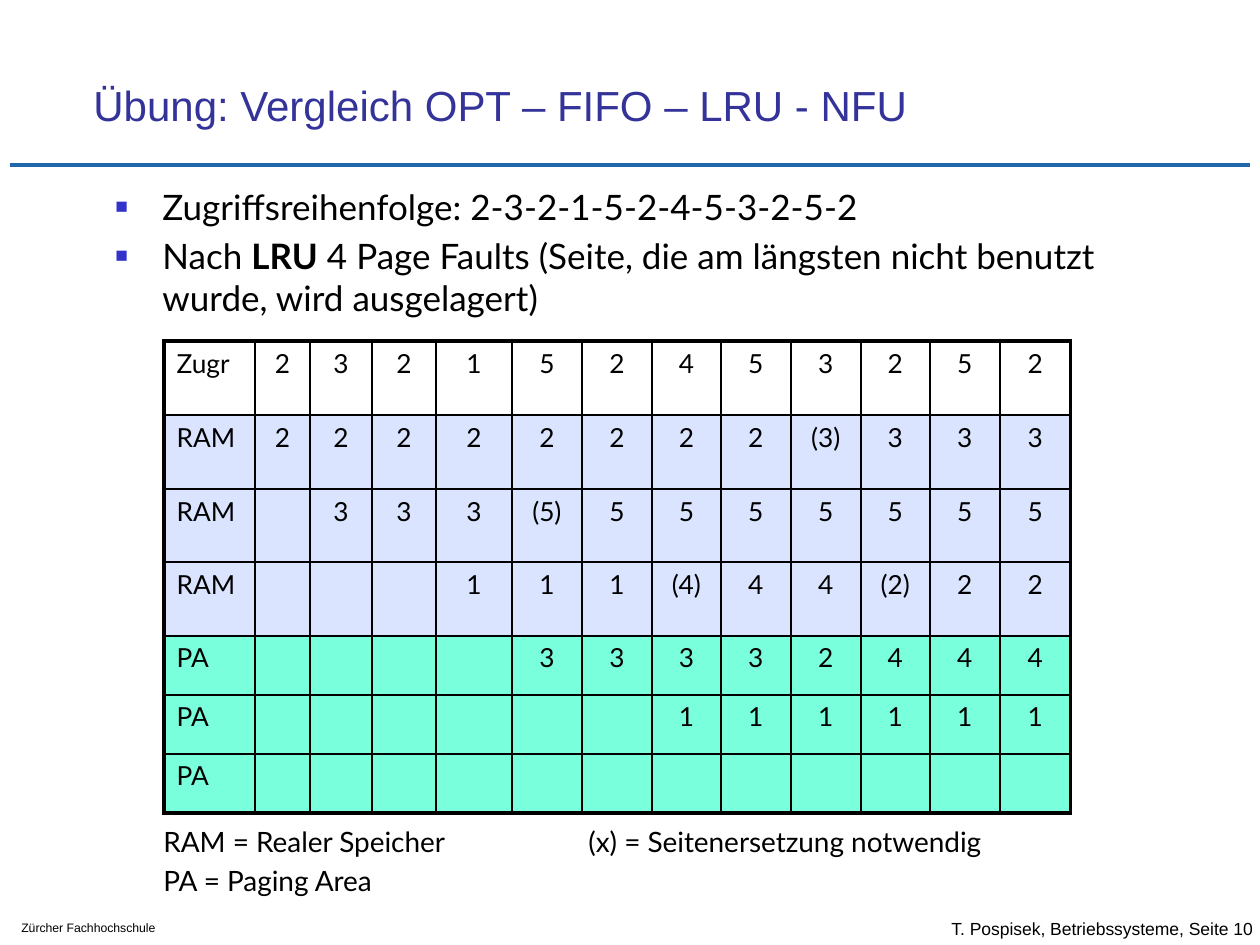
from dataclasses import dataclass
from typing import NamedTuple

from lxml.etree import SubElement
from pptx import Presentation
from pptx.dml.color import RGBColor
from pptx.enum.shapes import MSO_CONNECTOR
from pptx.enum.text import MSO_ANCHOR, PP_ALIGN
from pptx.oxml.ns import qn
from pptx.util import Emu, Pt

PX_PER_INCH = 126


def px(n: int) -> Emu:
    return Emu(round(n * 914400 / PX_PER_INCH))


@dataclass(frozen=True)
class Theme:
    sans: str = "Arial"
    body: str = "Lato"
    black: str = "000000"
    title: str = "333399"
    rule: str = "2266AB"
    bullet: str = "3333CC"
    access_fill: str = "FFFFFF"
    ram_fill: str = "DAE4FF"
    paging_fill: str = "79FFDC"
    title_pt: float = 24
    body_pt: float = 20
    note_pt: float = 16
    cell_pt: float = 15
    credit_pt: float = 10
    school_pt: float = 7
    rule_pt: float = 2.5
    outer_pt: float = 2.21
    inner_pt: float = 0.96


THEME = Theme()


class Run(NamedTuple):
    text: str
    bold: bool = False


class Box(NamedTuple):
    x: int
    y: int
    w: int
    h: int
    paragraphs: list[list[Run]]
    size: float
    font: str
    color: str = THEME.black
    anchor: MSO_ANCHOR = MSO_ANCHOR.TOP
    gap: float = 0
    bulleted: bool = False
    tab: int = 0


class Row(NamedTuple):
    label: str
    height: int
    fill: str
    values: list[str]


BOXES = [
    Box(939, 907, 432, 42, [[Run("T. Pospisek, Betriebssysteme, Seite 10")]],
        THEME.credit_pt, THEME.sans, anchor=MSO_ANCHOR.MIDDLE),
    Box(9, 914, 217, 28, [[Run("Zürcher Fachhochschule")]], THEME.school_pt, THEME.sans),
    Box(81, 42, 1074, 94, [[Run("Übung: Vergleich OPT – FIFO – LRU - NFU")]],
        THEME.title_pt, THEME.sans, THEME.title, MSO_ANCHOR.BOTTOM),
    Box(102, 179, 1053, 136,
        [[Run("Zugriffsreihenfolge: 2-3-2-1-5-2-4-5-3-2-5-2")],
         [Run("Nach "), Run("LRU", True),
          Run(" 4 Page Faults (Seite, die am längsten nicht benutzt wurde, wird ausgelagert)")]],
        THEME.body_pt, THEME.body, gap=4, bulleted=True),
    Box(151, 818, 1008, 84,
        [[Run("RAM = Realer Speicher\t(x) = Seitenersetzung notwendig")],
         [Run("PA = Paging Area")]],
        THEME.note_pt, THEME.body, gap=3.2, tab=425),
]

COLUMNS = [91, 55, 62, 64, 76, 70, 70, 69, 70, 70, 69, 70, 71]
ROWS = [
    Row("Zugr", 74, THEME.access_fill, "2 3 2 1 5 2 4 5 3 2 5 2".split()),
    Row("RAM", 74, THEME.ram_fill, "2 2 2 2 2 2 2 2 (3) 3 3 3".split()),
    Row("RAM", 73, THEME.ram_fill, "3 3 3 (5) 5 5 5 5 5 5 5".split()),
    Row("RAM", 74, THEME.ram_fill, "1 1 1 (4) 4 4 (2) 2 2".split()),
    Row("PA", 59, THEME.paging_fill, "3 3 3 3 2 4 4 4".split()),
    Row("PA", 59, THEME.paging_fill, "1 1 1 1 1 1".split()),
    Row("PA", 59, THEME.paging_fill, []),
]


def add_run(p, run: Run, size: float, font: str, color: str) -> None:
    r = p.add_run()
    r.text = run.text
    r.font.size = Pt(size)
    r.font.name = font
    r.font.bold = run.bold
    r.font.color.rgb = RGBColor.from_string(color)


def add_bullet(p) -> None:
    pPr = p._p.get_or_add_pPr()
    pPr.set("marL", str(px(48)))
    pPr.set("indent", str(-px(47)))
    SubElement(SubElement(pPr, qn("a:buClr")), qn("a:srgbClr"), val=THEME.bullet)
    SubElement(pPr, qn("a:buSzPct"), val="60000")
    SubElement(pPr, qn("a:buFont"), typeface=THEME.sans)
    SubElement(pPr, qn("a:buChar"), char="■")


def add_tab(p, pos: int) -> None:
    tabs = SubElement(p._p.get_or_add_pPr(), qn("a:tabLst"))
    SubElement(tabs, qn("a:tab"), pos=str(px(pos)), algn="l")


def add_box(s, box: Box) -> None:
    sp = s.shapes.add_textbox(px(box.x), px(box.y), px(box.w), px(box.h))
    tf = sp.text_frame
    tf.word_wrap = True
    tf.vertical_anchor = box.anchor
    for i, runs in enumerate(box.paragraphs):
        p = tf.add_paragraph() if i else tf.paragraphs[0]
        if box.bulleted:
            add_bullet(p)
        if box.tab:
            add_tab(p, box.tab)
        if i:
            p.space_before = Pt(box.gap)
        for run in runs:
            add_run(p, run, box.size, box.font, box.color)


def add_rule(s) -> None:
    line = s.shapes.add_connector(MSO_CONNECTOR.STRAIGHT, px(10), px(165), px(1250), px(165))
    line.line.color.rgb = RGBColor.from_string(THEME.rule)
    line.line.width = Pt(THEME.rule_pt)
    SubElement(line._element.spPr, qn("a:effectLst"))


def set_borders(cell, outer: dict[str, bool]) -> None:
    tcPr = cell._tc.get_or_add_tcPr()
    for i, (side, is_outer) in enumerate(outer.items()):
        width = Pt(THEME.outer_pt if is_outer else THEME.inner_pt)
        ln = SubElement(tcPr, qn(f"a:ln{side}"), w=str(width))
        fill = SubElement(ln, qn("a:solidFill"))
        SubElement(fill, qn("a:srgbClr"), val=THEME.black)
        tcPr.insert(i, ln)


def add_page_table(s, x: int, y: int) -> None:
    n_rows, n_cols = len(ROWS), len(COLUMNS)
    height = sum(row.height for row in ROWS)
    table = s.shapes.add_table(n_rows, n_cols, px(x), px(y), px(sum(COLUMNS)), px(height)).table
    table.first_row = False
    table.horz_banding = False
    for c, width in enumerate(COLUMNS):
        table.columns[c].width = px(width)
    for r, row in enumerate(ROWS):
        table.rows[r].height = px(row.height)
        blanks = [""] * (n_cols - 1 - len(row.values))
        for c, text in enumerate([row.label, *blanks, *row.values]):
            cell = table.cell(r, c)
            cell.fill.solid()
            cell.fill.fore_color.rgb = RGBColor.from_string(row.fill)
            set_borders(cell, {"L": c == 0, "R": c == n_cols - 1,
                               "T": r == 0, "B": r == n_rows - 1})
            p = cell.text_frame.paragraphs[0]
            p.alignment = PP_ALIGN.CENTER if c else PP_ALIGN.LEFT
            if text:
                add_run(p, Run(text), THEME.cell_pt, THEME.body, THEME.black)


def main() -> None:
    prs = Presentation()
    prs.slide_width, prs.slide_height = px(1260), px(945)
    s = prs.slides.add_slide(prs.slide_layouts[6])
    add_rule(s)
    for box in BOXES:
        add_box(s, box)
    add_page_table(s, 164, 341)
    prs.save("out.pptx")


if __name__ == "__main__":
    main()
